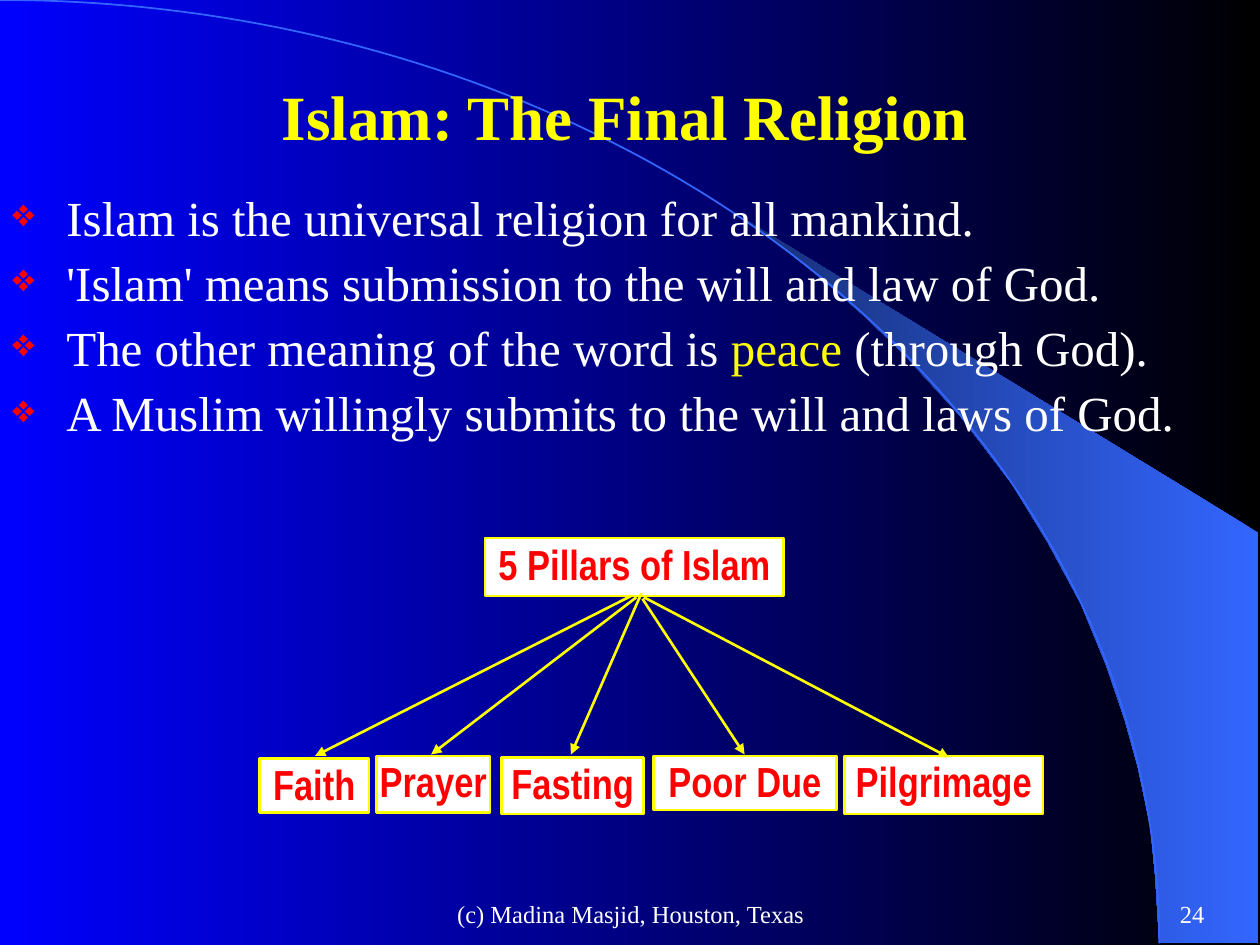
"""Build a slide on the meaning of Islam with a tree of its five pillars."""
import math
from dataclasses import dataclass

import pptx
import pptx.dml.color
import pptx.enum.shapes
import pptx.enum.text
import pptx.oxml
import pptx.oxml.ns
import pptx.util
from pptx.util import Cm

Align = pptx.enum.text.PP_ALIGN
Anchor = pptx.enum.text.MSO_ANCHOR
SERIF, NARROW = "Times New Roman", "Arial Narrow"
WHITE, YELLOW, RED, BLACK, BLUE = "FFFFFF", "FFFF00", "FF0000", "000000", "0000FF"
ARC_BLUE, DEEP_BLUE = "3366FF", "172F75"
ARC_WIDTH, ARC_HEIGHT, ARC_STEPS = 23.37, 19.02, 90
SWEEP = [(23.37, 19.0), (25.37, 19.02), (25.37, 10.74), (14.96, 4.39), (15.85, 5.05),
         (16.59, 5.64), (17.4, 6.35), (18.19, 7.11), (19.35, 8.38), (20.4, 9.75),
         (21.13, 10.95), (21.79, 12.17), (22.3, 13.41), (22.68, 14.53), (22.94, 15.47),
         (23.19, 16.66), (23.29, 17.68)]


@dataclass
class Box:
    """A labelled box, in centimetres."""
    label: str
    left: float
    top: float
    width: float
    height: float


@dataclass
class Arrow:
    """An arrow from the root box to a pillar, in centimetres."""
    start: tuple[float, float]
    end: tuple[float, float]


BOXES = [
    Box("5 Pillars of Islam", 9.78, 10.85, 6.02, 1.17),
    Box("Faith", 5.23, 15.29, 2.21, 1.09),
    Box("Prayer", 7.59, 15.24, 2.29, 1.14),
    Box("Fasting", 10.11, 15.27, 2.87, 1.14),
    Box("Poor Due", 13.18, 15.24, 3.68, 1.09),
    Box("Pilgrimage", 17.02, 15.24, 4.01, 1.17),
]
ARROWS = [
    Arrow((12.73, 12.01), (6.35, 15.24)),
    Arrow((12.83, 12.04), (8.69, 15.21)),
    Arrow((12.93, 11.96), (11.51, 15.21)),
    Arrow((12.95, 12.07), (15.01, 15.21)),
    Arrow((12.98, 12.04), (19.13, 15.27)),
]
STATEMENTS = [
    [("Islam is the universal religion for all mankind.", WHITE)],
    [("'Islam' means submission to the will and law of God.", WHITE)],
    [("The other meaning of the word is ", WHITE), ("peace", YELLOW),
     (" (through God).", WHITE)],
    [("A Muslim willingly submits to the will and laws of God.", WHITE)],
]


def rgb(value: str) -> pptx.dml.color.RGBColor:
    """Turn a hex string into a colour."""
    return pptx.dml.color.RGBColor.from_string(value)


def add_element(parent, tag: str, **attributes: str):
    """Append a drawing element to a parent and return it."""
    element = parent.makeelement(pptx.oxml.ns.qn(tag), attributes)
    parent.append(element)
    return element


def set_gradient(fill, first: str, last: str) -> None:
    """Fill from the first colour at the right to the last at the left."""
    fill.gradient()
    fill.gradient_angle = 180
    for stop, color in zip(fill.gradient_stops, (first, last)):
        stop.color.rgb = rgb(color)


def set_line(line, color: str, width: float) -> None:
    """Set the colour and the width of a line."""
    line.color.rgb = rgb(color)
    line.width = pptx.util.Pt(width)


def write_run(paragraph, text: str, *, size: float, color: str,
              font: str = SERIF, bold: bool = False) -> None:
    """Add formatted text to a paragraph."""
    run = paragraph.add_run()
    run.text = text
    run.font.name, run.font.size, run.font.bold = font, pptx.util.Pt(size), bold
    run.font.color.rgb = rgb(color)


def add_text_box(slide, left: float, top: float, width: float, height: float,
                 anchor=Anchor.MIDDLE):
    """Add an empty wrapping text box and return its frame."""
    frame = slide.shapes.add_textbox(Cm(left), Cm(top), Cm(width), Cm(height)).text_frame
    frame.word_wrap = True
    frame.vertical_anchor = anchor
    return frame


def add_label(slide, text: str, place: tuple[float, ...], align, **text_format) -> None:
    """Add a text box with one line."""
    paragraph = add_text_box(slide, *place).paragraphs[0]
    paragraph.alignment = align
    write_run(paragraph, text, **text_format)


def add_outline(slide, points: list[tuple[float, float]], close: bool):
    """Add a freeform through points given in centimetres."""
    start, *others = [(Cm(x), Cm(y)) for x, y in points]
    builder = slide.shapes.build_freeform(*start, scale=1.0)
    builder.add_line_segments(others, close=close)
    shape = builder.convert_to_shape()
    shape.shadow.inherit = False
    return shape


def add_backdrop(slide) -> None:
    """Draw the background gradient, the sweep and the arc."""
    set_gradient(slide.background.fill, BLACK, BLUE)
    sweep = add_outline(slide, SWEEP, close=True)
    set_gradient(sweep.fill, ARC_BLUE, DEEP_BLUE)
    sweep.line.fill.background()
    angles = [math.pi / 2 * step / ARC_STEPS for step in range(ARC_STEPS + 1)]
    arc = add_outline(slide, [(ARC_WIDTH * math.sin(angle), ARC_HEIGHT * (1 - math.cos(angle)))
                              for angle in angles], close=False)
    arc.fill.background()
    set_line(arc.line, ARC_BLUE, 1)


def add_statements(slide) -> None:
    """Write the bulleted statements."""
    frame = add_text_box(slide, 0, 3.78, 25.4, 6.07, Anchor.TOP)
    for index, pieces in enumerate(STATEMENTS):
        paragraph = frame.add_paragraph() if index else frame.paragraphs[0]
        paragraph.line_spacing = 0.9
        paragraph.space_before = pptx.util.Pt(7)
        properties = paragraph._p.get_or_add_pPr()
        properties.set("marL", str(Cm(1.09)))
        properties.set("indent", str(-Cm(1.09)))
        add_element(add_element(properties, "a:buClr"), "a:srgbClr", val=RED)
        add_element(properties, "a:buSzPct", val="80000")
        add_element(properties, "a:buChar", char="❖")
        for text, color in pieces:
            write_run(paragraph, text, size=28, color=color)


def add_box(slide, box: Box) -> None:
    """Draw a labelled box."""
    shape = slide.shapes.add_shape(pptx.enum.shapes.MSO_SHAPE.RECTANGLE, Cm(box.left),
                                   Cm(box.top), Cm(box.width), Cm(box.height))
    shape.shadow.inherit = False
    shape.fill.solid()
    shape.fill.fore_color.rgb = rgb(WHITE)
    set_line(shape.line, YELLOW, 1.5)
    frame = shape.text_frame
    frame.margin_left = frame.margin_right = frame.margin_top = frame.margin_bottom = 0
    frame.word_wrap = False
    frame.vertical_anchor = Anchor.TOP
    frame.paragraphs[0].alignment = Align.CENTER
    write_run(frame.paragraphs[0], box.label, size=24, color=RED, font=NARROW, bold=True)


def add_arrow(slide, arrow: Arrow) -> None:
    """Draw an arrow with a triangular head at its end."""
    connector = slide.shapes.add_connector(pptx.enum.shapes.MSO_CONNECTOR.STRAIGHT,
                                           *map(Cm, arrow.start + arrow.end))
    set_line(connector.line, YELLOW, 1.5)
    properties = connector.element.spPr
    add_element(properties.find(pptx.oxml.ns.qn("a:ln")), "a:tailEnd", type="triangle")
    add_element(properties, "a:effectLst")


def main() -> None:
    """Build and save the presentation."""
    presentation = pptx.Presentation()
    presentation.slide_width, presentation.slide_height = Cm(25.4), Cm(19.05)
    slide = presentation.slides.add_slide(presentation.slide_layouts[6])
    add_backdrop(slide)
    add_label(slide, "Islam: The Final Religion", (1.8, 1.7, 21.6, 1.27), Align.CENTER,
              size=36, color=YELLOW, bold=True)
    add_statements(slide)
    for box in BOXES:
        add_box(slide, box)
    for arrow in ARROWS:
        add_arrow(slide, arrow)
    add_label(slide, "(c) Madina Masjid, Houston, Texas", (8.69, 17.78, 8.05, 1.27),
              Align.CENTER, size=14, color=WHITE)
    add_label(slide, "24", (19.25, 17.78, 5.28, 1.27), Align.RIGHT, size=14, color=WHITE)
    presentation.save("out.pptx")


if __name__ == "__main__":
    main()
